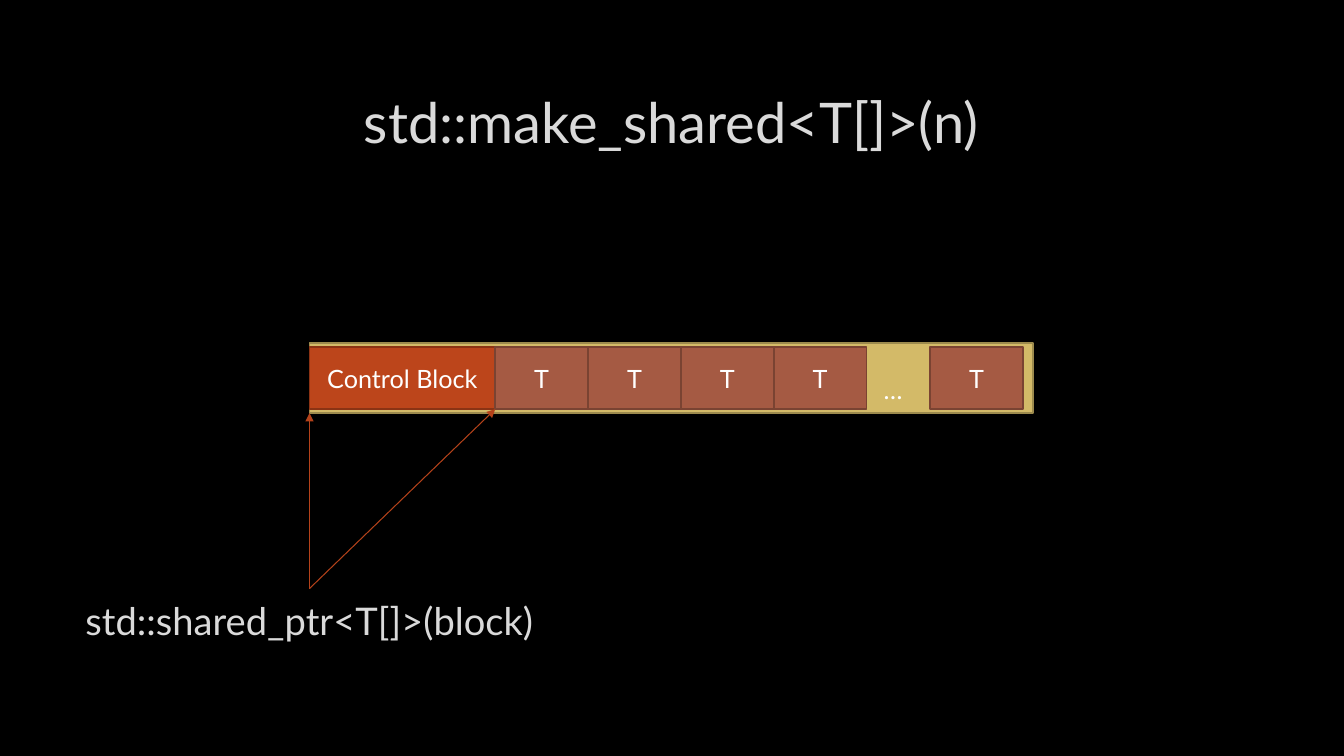
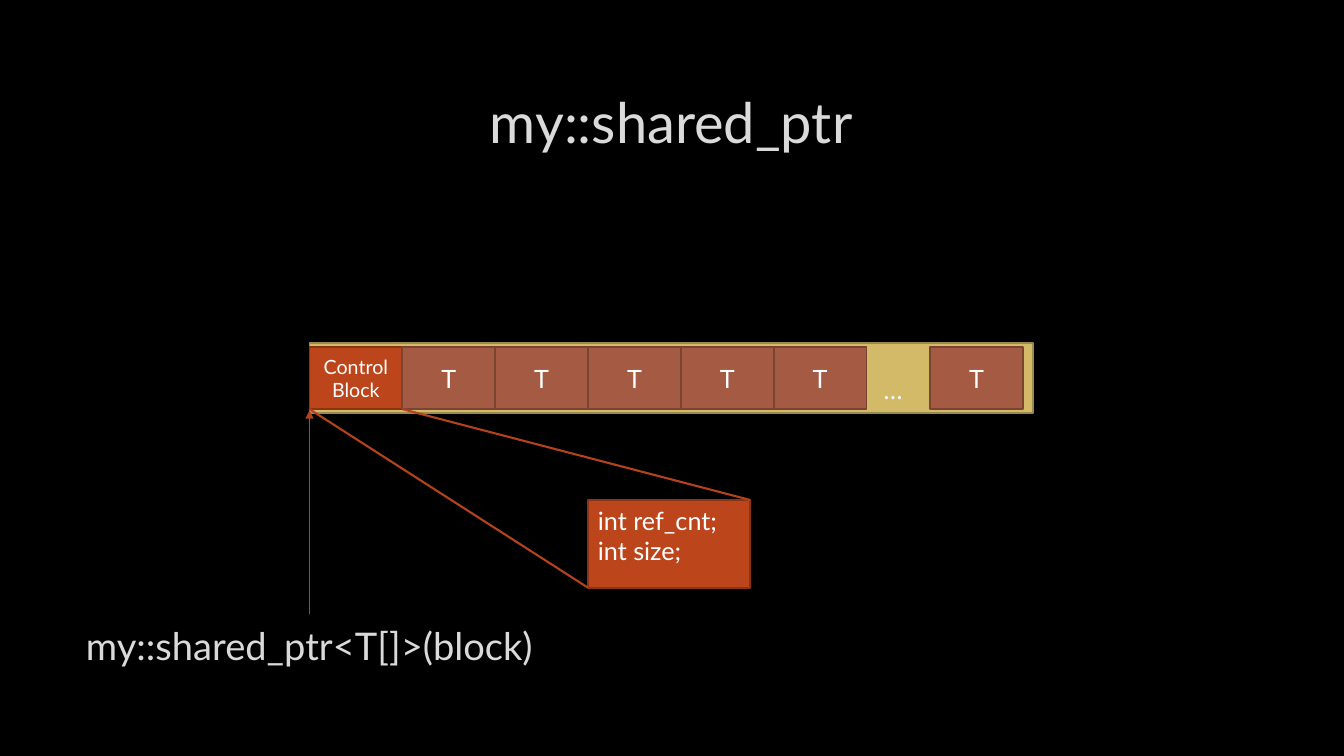
"""Draw the memory layout of two shared array pointers."""
from lxml.etree import SubElement
from pptx import Presentation
from pptx.dml.color import RGBColor
from pptx.enum.shapes import MSO_CONNECTOR, MSO_SHAPE
from pptx.enum.text import MSO_ANCHOR, PP_ALIGN
from pptx.oxml.ns import qn
from pptx.util import Cm, Pt

FONT = "Lato"
BLACK = RGBColor(0x00, 0x00, 0x00)
WHITE = RGBColor(0xFF, 0xFF, 0xFF)
SILVER = RGBColor(0xDA, 0xDA, 0xDA)
WIRE = RGBColor(0xB4, 0x42, 0x1A)
GOLD = (RGBColor(0xD3, 0xBA, 0x68), RGBColor(0x9C, 0x8A, 0x4D))
RUST = (RGBColor(0xBC, 0x45, 0x1B), RGBColor(0x8B, 0x33, 0x14))
CLAY = (RGBColor(0xA5, 0x5A, 0x43), RGBColor(0x7A, 0x43, 0x32))

LEFT, TOP = 7.8, 8.74
CELL, HIGH = 2.34, 1.57
BASE = TOP + HIGH
SLOTS = 6
LAST = 23.44


def write(shape, lines, size, color=WHITE, align=PP_ALIGN.CENTER, anchor=MSO_ANCHOR.MIDDLE):
    """Put one paragraph per line into a shape."""
    frame = shape.text_frame
    frame.word_wrap = True
    frame.vertical_anchor = anchor
    frame.text = "\n".join(lines)
    for para in frame.paragraphs:
        para.alignment = align
        para.font.name = FONT
        para.font.size = Pt(size)
        para.font.color.rgb = color


def label(slide, box, text, size, color=WHITE, **style):
    """Add a line of free text."""
    shape = slide.shapes.add_textbox(*map(Cm, box))
    write(shape, [text], size, color, **style)


def block(slide, box, paint, lines=(), size=18, **style):
    """Add a filled and outlined rectangle."""
    shape = slide.shapes.add_shape(MSO_SHAPE.RECTANGLE, *map(Cm, box))
    shape.shadow.inherit = False
    fill, edge = paint
    shape.fill.solid()
    shape.fill.fore_color.rgb = fill
    shape.line.color.rgb = edge
    shape.line.width = Pt(1.25)
    if lines:
        write(shape, lines, size, **style)


def wire(slide, start, end, width=0.75, arrow=True):
    """Join two points, with an arrowhead at the end if wanted."""
    line = slide.shapes.add_connector(MSO_CONNECTOR.STRAIGHT, *map(Cm, start + end))
    line.line.color.rgb = WIRE
    line.line.width = Pt(width)
    if arrow:
        SubElement(line.line._get_or_add_ln(), qn("a:tailEnd"), type="triangle")
    SubElement(line._element.spPr, qn("a:effectLst"))


def memory(slide, span, size):
    """Draw the allocation, its control block spanning some slots."""
    block(slide, (LEFT, 8.64, 18.24, 1.76), GOLD)
    block(slide, (LEFT, TOP, span * CELL, HIGH), RUST, ["Control Block"], size)
    for left in [LEFT + slot * CELL for slot in range(span, SLOTS)] + [LAST]:
        block(slide, (left, TOP, CELL, HIGH), CLAY, ["T"])
    label(slide, (22.02, 9.32, 2.03, 1.02), "…", 18,
          align=PP_ALIGN.LEFT, anchor=MSO_ANCHOR.TOP)


def page(deck, title, name, low, span, size, tip):
    """Add a slide with title, memory and a pointer to its start."""
    slide = deck.slides.add_slide(deck.slide_layouts[6])
    label(slide, (2.54, 1.7, 28.75, 2.69), title, 40, SILVER)
    memory(slide, span, size)
    label(slide, (1.63, low, 12.34, 1.6), name, 27.2, SILVER)
    wire(slide, (LEFT, low), (LEFT, tip))
    return slide


def detail(slide):
    """Zoom into the fields of the control block."""
    left, top, width, high = box = (LEFT + 3 * CELL, 12.6, 4.09, 2.21)
    block(slide, box, RUST, ["int ref_cnt;", "int size;"],
          align=PP_ALIGN.LEFT, anchor=MSO_ANCHOR.TOP)
    wire(slide, (LEFT + CELL, BASE), (left + width, top), 1.5, False)
    wire(slide, (LEFT, BASE), (left, top + high), 1.5, False)


def main():
    """Build and save the deck."""
    deck = Presentation()
    deck.slide_width, deck.slide_height = Cm(33.87), Cm(19.05)
    fill = deck.slide_master.background.fill
    fill.solid()
    fill.fore_color.rgb = BLACK

    low = 14.83
    slide = page(deck, "std::make_shared<T[]>(n)", "std::shared_ptr<T[]>(block)",
                 low, 2, 18, 10.41)
    wire(slide, (LEFT, low), (LEFT + 2 * CELL, BASE))

    slide = page(deck, "my::shared_ptr", "my::shared_ptr<T[]>(block)",
                 15.47, 1, 14, 10.34)
    detail(slide)
    deck.save("out.pptx")


if __name__ == "__main__":
    main()
